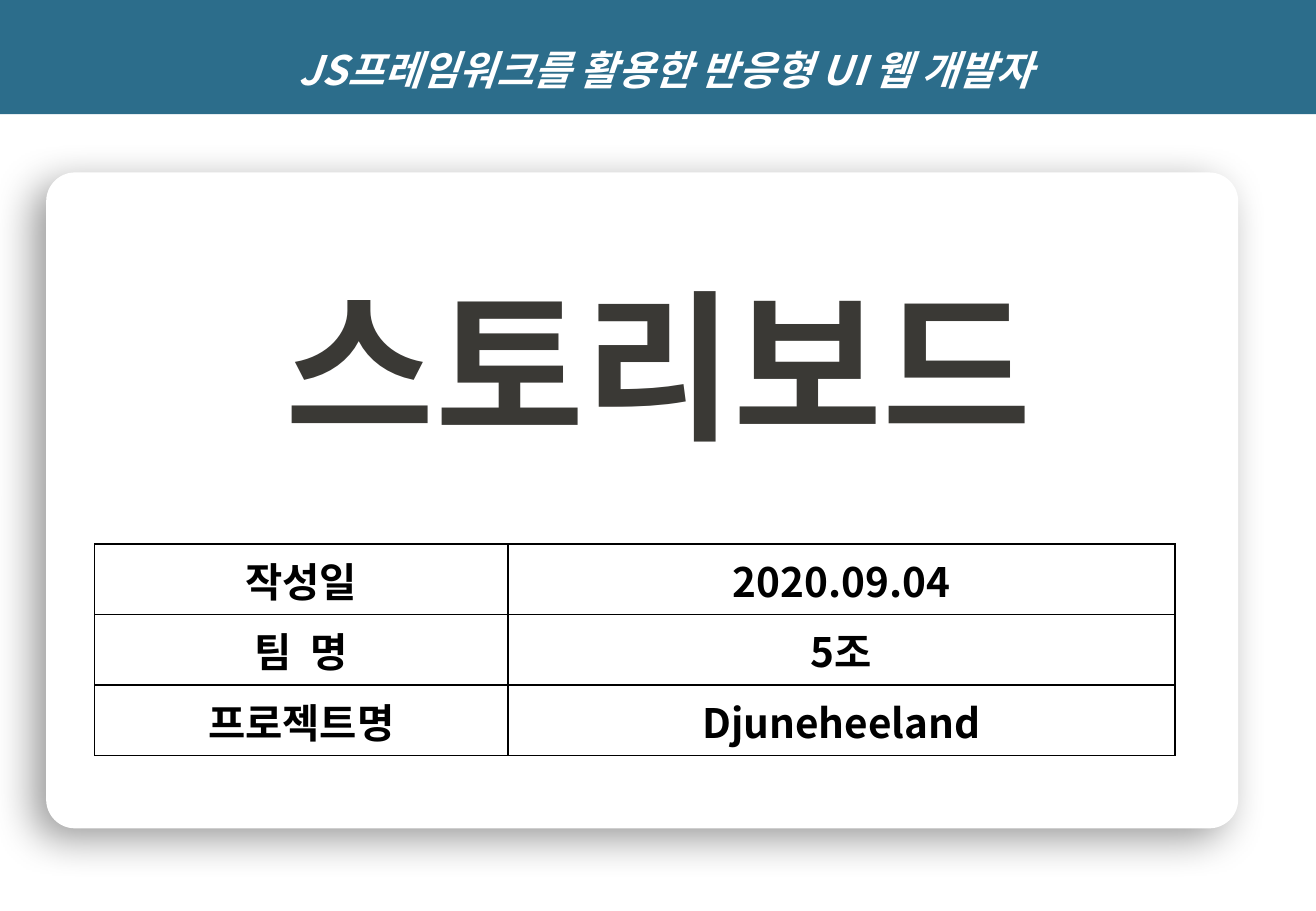
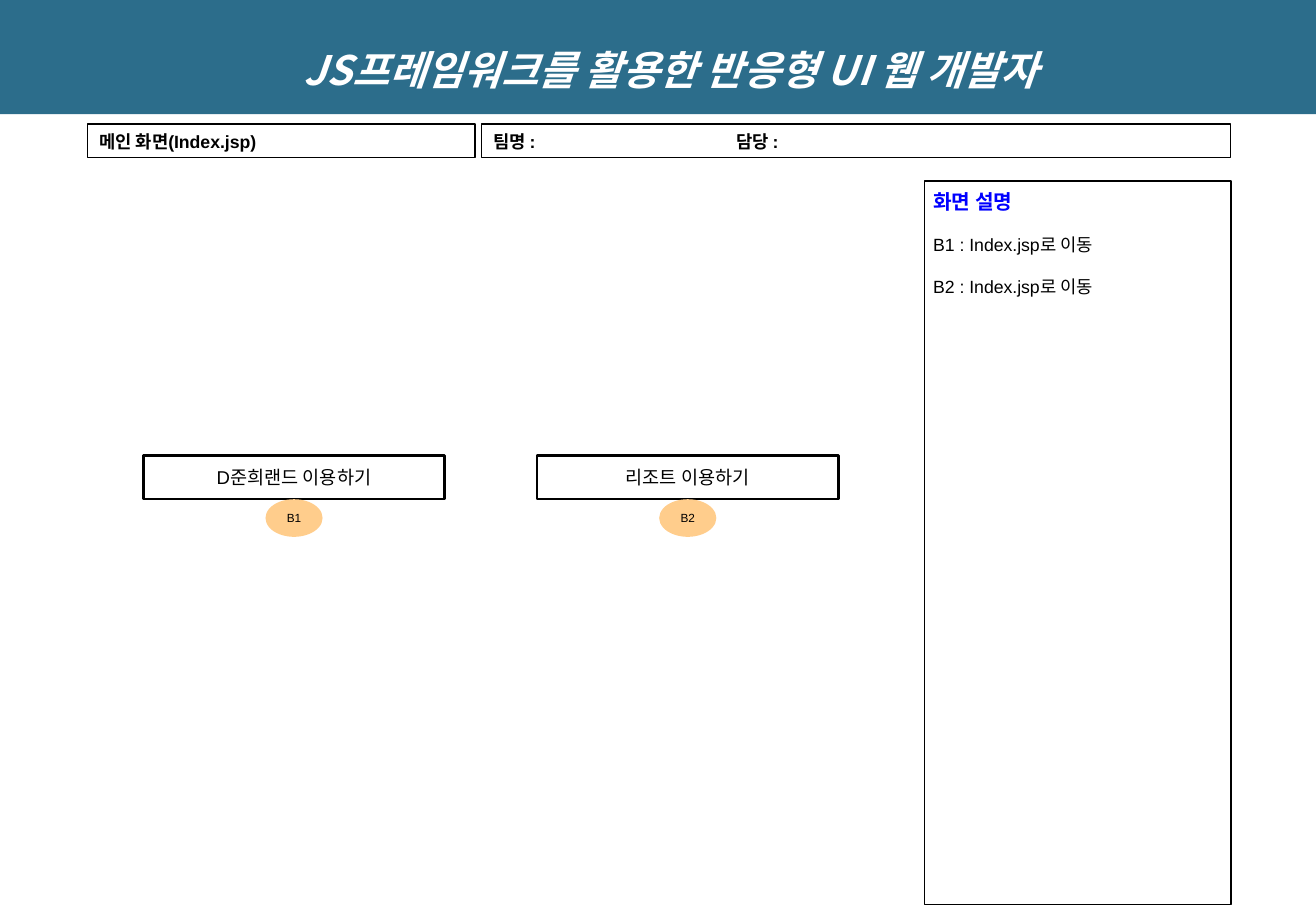
"""Build a two-slide storyboard: a cover and a main screen plan."""
from dataclasses import dataclass

from lxml import etree
from pptx import Presentation
from pptx import util as u
from pptx.dml.color import RGBColor
from pptx.enum import shapes, text
from pptx.oxml.ns import qn
from pptx.shapes.autoshape import Shape
from pptx.slide import Slide

COLORS = {
    "band": "2C6D8B",
    "white": "FFFFFF",
    "black": "000000",
    "title": "3A3935",
    "heading": "0000FF",
    "badge": "FFCD8C",
}
SANS = "Arial"
KOREAN = "Noto Sans CJK KR"
COURSE = "JS프레임워크를 활용한 반응형 UI 웹 개발자"
PAGE_WIDTH, PAGE_HEIGHT = 10.83, 7.5
LEFT, CENTER = text.PP_ALIGN.LEFT, text.PP_ALIGN.CENTER
TOP, MIDDLE = text.MSO_ANCHOR.TOP, text.MSO_ANCHOR.MIDDLE
RECTANGLE = shapes.MSO_SHAPE.RECTANGLE


@dataclass(frozen=True)
class Box:
    """Place of an object in inches."""
    left: float
    top: float
    width: float
    height: float

    def lengths(self) -> list[u.Length]:
        """Give the four values as lengths."""
        return [u.Inches(value) for value in (self.left, self.top, self.width, self.height)]


@dataclass(frozen=True)
class Style:
    """Look of one run and its paragraph."""
    size: float
    color: str = "black"
    bold: bool = False
    italic: bool = False
    font: str = SANS
    align: text.PP_ALIGN = CENTER
    spacing: float = 1.0


@dataclass(frozen=True)
class Button:
    """A labelled button with its badge."""
    label: str
    badge: str


BAND = Style(24, "white", True, True, KOREAN, spacing=1.5)
COVER = Style(96, "title", True, spacing=1.5)
CELL = Style(24, bold=True, font=KOREAN)
FIELD = Style(10.5, bold=True, align=LEFT)
HEADING = Style(12, "heading", True, align=LEFT)
NOTE = Style(10.5, align=LEFT)
LABEL = Style(11)
BADGE = Style(7)

FACTS = [("작성일", "2020.09.04"), ("팀  명", "5조"), ("프로젝트명", "Djuneheeland")]
FACT_WIDTHS = (3.4, 5.49)
FACT_HEIGHT = 0.58
BUTTONS = [Button("D준희랜드 이용하기", "B1"), Button("리조트 이용하기", "B2")]
BUTTON_PITCH = 3.24
NOTES = ["B1 : Index.jsp로 이동", "B2 : Index.jsp로 이동"]


def rgb(name: str) -> RGBColor:
    """Look up a colour by name."""
    return RGBColor.from_string(COLORS[name])


def write(paragraph, words: str, style: Style) -> None:
    """Add one styled run to a paragraph."""
    paragraph.alignment = style.align
    paragraph.line_spacing = style.spacing
    run = paragraph.add_run()
    run.text = words
    font = run.font
    font.name, font.size = style.font, u.Pt(style.size)
    font.bold, font.italic = style.bold, style.italic
    font.color.rgb = rgb(style.color)
    etree.SubElement(run._r.get_or_add_rPr(), qn("a:ea"), typeface=KOREAN)


def set_frame(shape: Shape, anchor: text.MSO_ANCHOR, side: float, edge: float) -> None:
    """Set wrapping, anchor and margins of a shape's text."""
    frame = shape.text_frame
    frame.word_wrap = True
    frame.vertical_anchor = anchor
    frame.margin_left = frame.margin_right = u.Inches(side)
    frame.margin_top = frame.margin_bottom = u.Inches(edge)


def add_block(slide: Slide, kind: shapes.MSO_SHAPE, box: Box, fill: str = "", line: float = 0,
              anchor: text.MSO_ANCHOR = MIDDLE, side: float = 0.1, edge: float = 0.05) -> Shape:
    """Add a flat shape with optional fill and black outline."""
    shape = slide.shapes.add_shape(kind, *box.lengths())
    shape.shadow.inherit = False
    if fill:
        shape.fill.solid()
        shape.fill.fore_color.rgb = rgb(fill)
    else:
        shape.fill.background()
    if line:
        shape.line.color.rgb = rgb("black")
        shape.line.width = u.Pt(line)
    else:
        shape.line.fill.background()
    set_frame(shape, anchor, side, edge)
    return shape


def add_color(parent, name: str):
    """Append a colour element to an XML parent."""
    return etree.SubElement(parent, qn("a:srgbClr"), val=COLORS[name])


def add_soft_shadow(shape: Shape) -> None:
    """Give a shape a blurred shadow to the lower left."""
    effects = shape.element.spPr.find(qn("a:effectLst"))
    shadow = etree.SubElement(effects, qn("a:outerShdw"), blurRad=str(u.Pt(24)),
                              dist=str(u.Pt(10)), dir=str(135 * 60000),
                              algn="tr", rotWithShape="0")
    etree.SubElement(add_color(shadow, "black"), qn("a:alpha"), val="40000")


def add_borders(cell) -> None:
    """Draw a thin black line on each side of a cell."""
    properties = cell._tc.get_or_add_tcPr()
    for index, side in enumerate(("lnL", "lnR", "lnT", "lnB")):
        line = etree.Element(qn(f"a:{side}"), w=str(u.Pt(1)))
        add_color(etree.SubElement(line, qn("a:solidFill")), "black")
        properties.insert(index, line)


def add_facts(slide: Slide) -> None:
    """Add the table of project facts."""
    box = Box(0.78, 4.48, sum(FACT_WIDTHS), FACT_HEIGHT * len(FACTS))
    table = slide.shapes.add_table(len(FACTS), len(FACT_WIDTHS), *box.lengths()).table
    table.first_row = table.horz_banding = False
    for column, width in zip(table.columns, FACT_WIDTHS):
        column.width = u.Inches(width)
    for row, facts in zip(table.rows, FACTS):
        row.height = u.Inches(FACT_HEIGHT)
        for cell, words in zip(row.cells, facts):
            cell.fill.background()
            add_borders(cell)
            write(cell.text_frame.paragraphs[0], words, CELL)


def add_page(presentation, indent: float) -> Slide:
    """Add a blank slide with the course band."""
    slide = presentation.slides.add_slide(presentation.slide_layouts[6])
    band = add_block(slide, RECTANGLE, Box(0, 0, PAGE_WIDTH, 0.94), "band")
    band.text_frame.margin_left = u.Inches(indent)
    write(band.text_frame.paragraphs[0], COURSE, BAND)
    return slide


def build_cover(presentation) -> None:
    """Build the cover slide."""
    slide = add_page(presentation, 0.23)
    card = add_block(slide, shapes.MSO_SHAPE.ROUNDED_RECTANGLE, Box(0.38, 1.42, 9.81, 5.4), "white")
    card.adjustments[0] = 0.044
    add_soft_shadow(card)
    title = slide.shapes.add_textbox(*Box(1.74, 1.84, 7.36, 1.5).lengths())
    set_frame(title, MIDDLE, 0.1, 0.05)
    write(title.text_frame.paragraphs[0], "스토리보드", COVER)
    add_facts(slide)


def add_fields(slide: Slide) -> None:
    """Add the screen name and the team fields."""
    for left, width, words in ((3.96, 6.17, "팀명 :\t담당 :"), (0.72, 3.19, "메인 화면(Index.jsp)")):
        field = add_block(slide, RECTANGLE, Box(left, 1.02, width, 0.28), line=0.75)
        paragraph = field.text_frame.paragraphs[0]
        write(paragraph, words, FIELD)
        if "\t" in words:
            stops = etree.SubElement(paragraph._p.get_or_add_pPr(), qn("a:tabLst"))
            etree.SubElement(stops, qn("a:tab"), pos=str(u.Inches(2)), algn="l")


def add_notes(slide: Slide) -> None:
    """Add the panel that explains the screen."""
    panel = add_block(slide, RECTANGLE, Box(7.61, 1.49, 2.52, 5.96), line=0.75,
                      anchor=TOP, side=0.07, edge=0.07)
    frame = panel.text_frame
    write(frame.paragraphs[0], "화면 설명", HEADING)
    for words in NOTES:
        paragraph = frame.add_paragraph()
        paragraph.space_before = u.Pt(12)
        write(paragraph, words, NOTE)


def add_buttons(slide: Slide) -> None:
    """Add the buttons, each with a badge centred below."""
    for index, button in enumerate(BUTTONS):
        box = Box(1.18 + index * BUTTON_PITCH, 3.75, 2.48, 0.36)
        frame = add_block(slide, RECTANGLE, box, line=1.5, side=0.07, edge=0.04)
        write(frame.text_frame.paragraphs[0], button.label, LABEL)
        width = 0.47
        spot = Box(box.left + (box.width - width) / 2, box.top + box.height, width, 0.31)
        badge = add_block(slide, shapes.MSO_SHAPE.OVAL, spot, "badge", side=0, edge=0)
        write(badge.text_frame.paragraphs[0], button.badge, BADGE)


def build_main_screen(presentation) -> None:
    """Build the plan of the main screen."""
    slide = add_page(presentation, 0.31)
    add_fields(slide)
    add_notes(slide)
    add_buttons(slide)


def main() -> None:
    """Build and save the presentation."""
    presentation = Presentation()
    presentation.slide_width = u.Inches(PAGE_WIDTH)
    presentation.slide_height = u.Inches(PAGE_HEIGHT)
    build_cover(presentation)
    build_main_screen(presentation)
    presentation.save("out.pptx")


if __name__ == "__main__":
    main()
